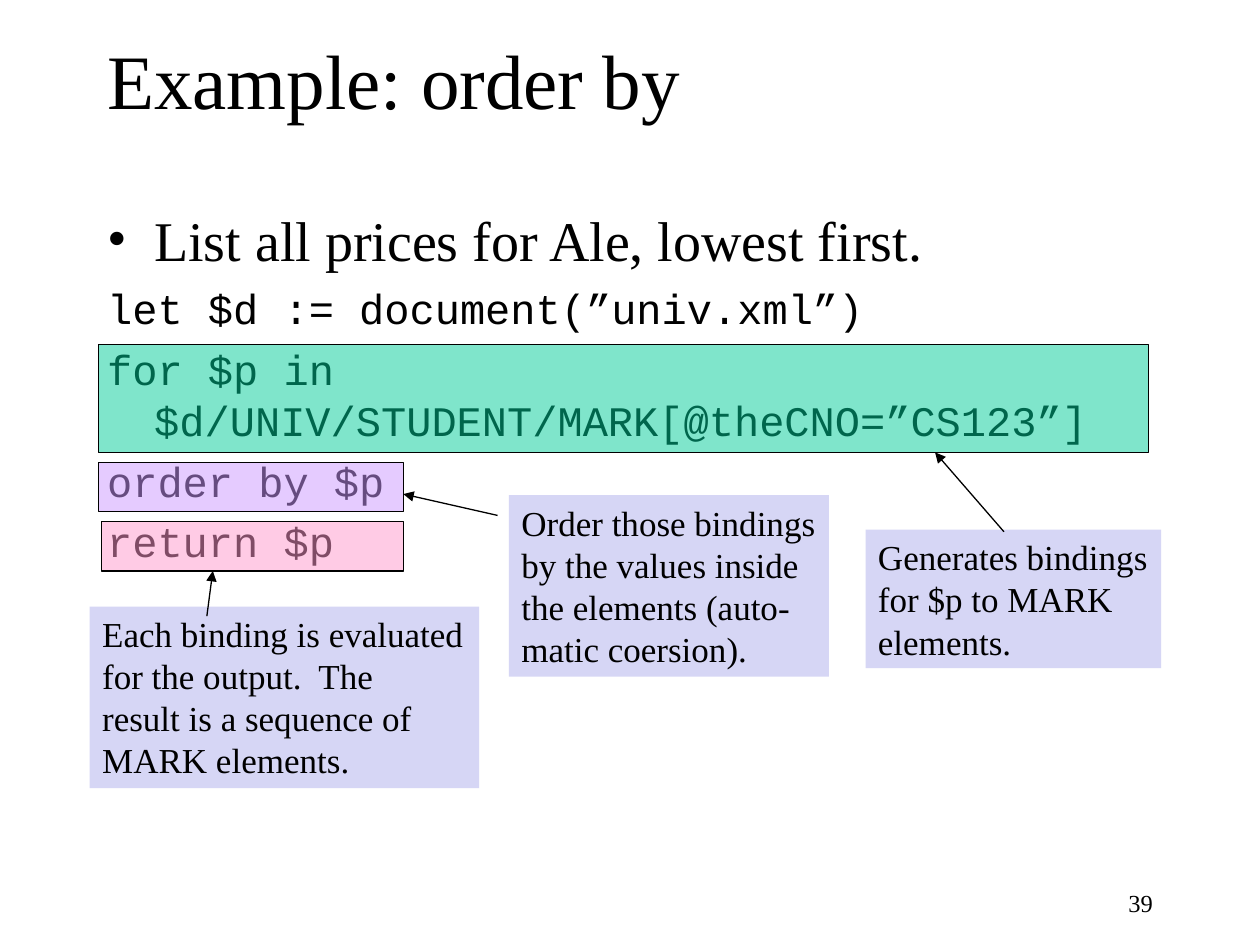
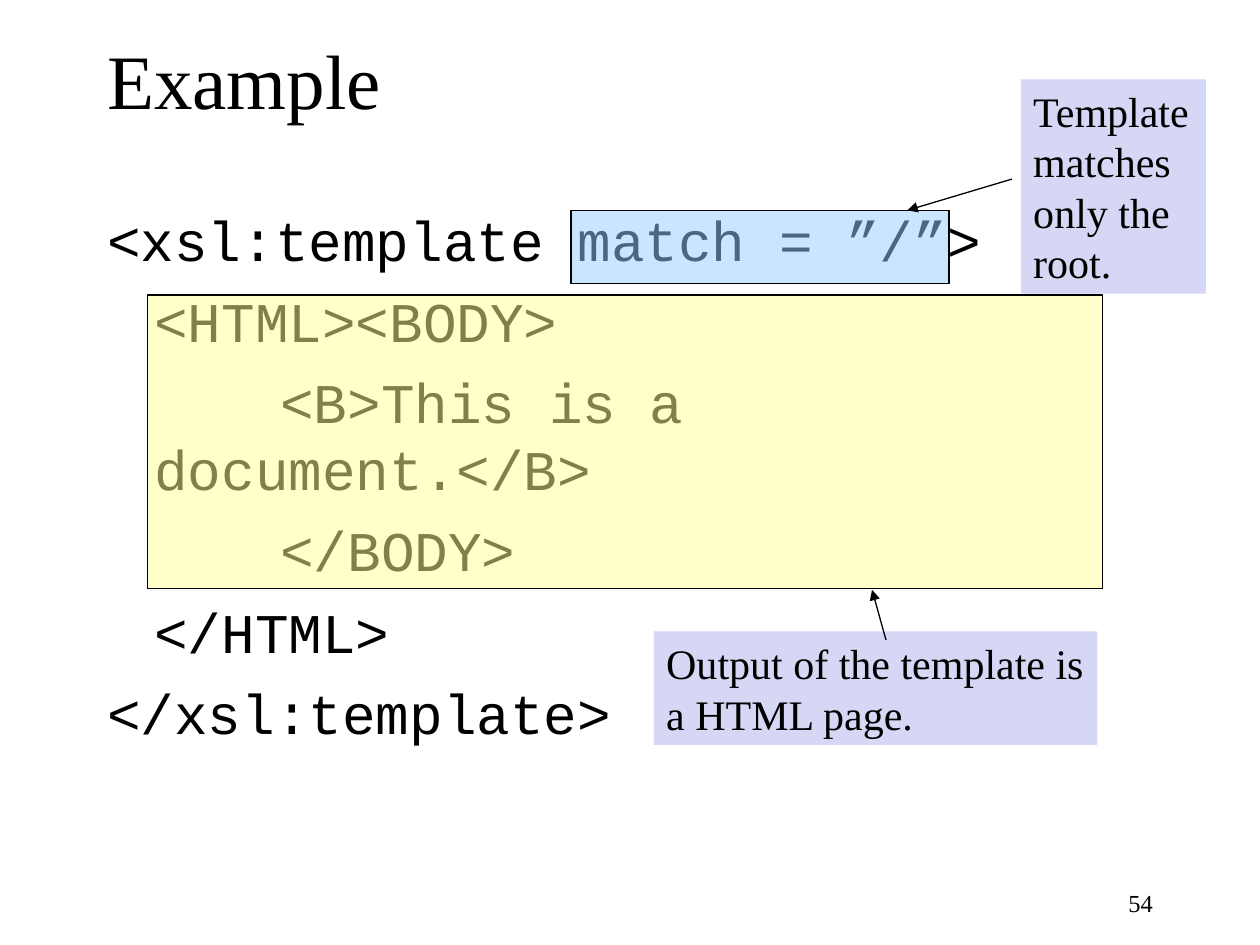
"""Build two lecture slides that explain code with highlights and callouts."""
from dataclasses import dataclass

from lxml import etree
from pptx import Presentation
from pptx import util as u
from pptx.dml.color import RGBColor
from pptx.enum import shapes, text
from pptx.oxml.ns import qn


@dataclass(frozen=True)
class Theme:
    """Colours, fonts, type sizes and indents shared by the slides."""
    ink: str = "000000"
    note: str = "D6D6F5"
    green: str = "00CC99"
    purple: str = "CC99FF"
    pink: str = "FF99CC"
    blue: str = "99CCFF"
    yellow: str = "FFFF99"
    serif: str = "Times New Roman"
    mono: str = "Courier New"
    title: int = 44
    body: int = 32
    code: int = 24
    small_note: int = 20
    number: int = 14
    line: float = 0.75
    opacity: int = 50
    indent: float = 0.95
    tab: float = 2.54


class Deck:
    """Hold the theme, the presentation and the current slide."""

    def __init__(self, theme):
        """Start a 4:3 presentation."""
        self.t = theme
        self.prs = Presentation()
        self.prs.slide_width, self.prs.slide_height = u.Cm(25.4), u.Cm(19.05)
        self.s = None

    def slide(self, title, number):
        """Add a blank slide with its title and page number."""
        self.s = self.prs.slides.add_slide(self.prs.slide_layouts[6])
        tf = self.box(1.91, 0, 21.59, 3.18).text_frame
        tf.vertical_anchor = text.MSO_ANCHOR.MIDDLE
        self.run(tf.paragraphs[0], title, self.t.title)
        p = self.box(18.21, 17.78, 5.28, 0.84).text_frame.paragraphs[0]
        p.alignment = text.PP_ALIGN.RIGHT
        self.run(p, number, self.t.number)

    def box(self, x, y, w, h):
        """Add an empty wrapping text box."""
        sp = self.s.shapes.add_textbox(*map(u.Cm, (x, y, w, h)))
        sp.text_frame.word_wrap = True
        return sp

    def run(self, p, words, size, font=None):
        """Add one styled run to a paragraph."""
        r = p.add_run()
        r.text = words
        r.font.size = u.Pt(size)
        r.font.name = font or self.t.serif
        r.font.color.rgb = RGBColor.from_string(self.t.ink)

    def paragraphs(self, tf, count):
        """Return the given number of paragraphs in a text frame."""
        return [tf.paragraphs[0]] + [tf.add_paragraph() for _ in range(count - 1)]

    def body(self, lines):
        """Add the main text from (words, size, font, first indent, bullet, space)."""
        tf = self.box(1.91, 4.01, 21.59, 12.9).text_frame
        for p, line in zip(self.paragraphs(tf, len(lines)), lines):
            words, size, font, first, bullet, space = line
            p.space_before = u.Pt(space)
            ppr = p._p.get_or_add_pPr()
            ppr.set("marL", str(u.Cm(self.t.indent)))
            ppr.set("indent", str(u.Cm(first)))
            if bullet:
                etree.SubElement(ppr, qn("a:buFont")).set("typeface", self.t.serif)
                etree.SubElement(ppr, qn("a:buChar")).set("char", "•")
            else:
                etree.SubElement(ppr, qn("a:buNone"))
            self.run(p, words, size, font)

    def highlight(self, colour, x, y, w, h):
        """Lay a translucent outlined rectangle over the code."""
        sp = self.s.shapes.add_shape(
            shapes.MSO_SHAPE.RECTANGLE, *map(u.Cm, (x, y, w, h)))
        sp.shadow.inherit = False
        sp.fill.solid()
        sp.fill.fore_color.rgb = RGBColor.from_string(colour)
        clr = sp.fill._xPr.find(qn("a:solidFill"))[0]
        etree.SubElement(clr, qn("a:alpha")).set("val", str(self.t.opacity * 1000))
        self.outline(sp.line)

    def outline(self, line):
        """Apply the thin shared line style."""
        line.color.rgb = RGBColor.from_string(self.t.ink)
        line.width = u.Pt(self.t.line)

    def callout(self, lines, size, x, y, w, h):
        """Add a tinted note with one paragraph per line."""
        sp = self.box(x, y, w, h)
        sp.fill.solid()
        sp.fill.fore_color.rgb = RGBColor.from_string(self.t.note)
        tf = sp.text_frame
        tf.word_wrap = False
        tf.auto_size = text.MSO_AUTO_SIZE.SHAPE_TO_FIT_TEXT
        for p, words in zip(self.paragraphs(tf, len(lines)), lines):
            self.run(p, words, size)

    def arrow(self, x1, y1, x2, y2):
        """Draw an arrow from a note to its highlight."""
        c = self.s.shapes.add_connector(
            shapes.MSO_CONNECTOR.STRAIGHT, *map(u.Cm, (x1, y1, x2, y2)))
        self.outline(c.line)
        etree.SubElement(c.line._get_or_add_ln(), qn("a:tailEnd")).set("type", "triangle")
        etree.SubElement(c._element.spPr, qn("a:effectLst"))


def order_by_slide(d):
    """Explain the order by clause."""
    t = d.t
    d.slide("Example: order by", "39")
    code = ("let $d := document(”univ.xml”)",
            "for $p in $d/UNIV/STUDENT/MARK[@theCNO=”CS123”]",
            "order by $p",
            "return $p")
    d.body([("List all prices for Ale, lowest first.", t.body, t.serif, -t.indent, True, 8)]
           + [(c, t.code, t.mono, -t.indent, False, 6) for c in code])
    d.highlight(t.green, 1.98, 6.94, 21.17, 2.18)
    d.callout(("Generates bindings", "for $p to MARK", "elements."),
              t.small_note, 17.45, 10.68, 5.96, 2.79)
    d.arrow(20.24, 10.72, 18.85, 9.12)
    d.highlight(t.purple, 1.98, 9.32, 6.15, 0.99)
    d.callout(("Order those bindings", "by the values inside",
               "the elements (auto-", "matic coersion)."),
              t.small_note, 10.26, 9.98, 6.45, 3.66)
    d.arrow(10.03, 10.39, 8.13, 9.96)
    d.highlight(t.pink, 2.04, 10.52, 6.1, 0.99)
    d.callout(("Each binding is evaluated", "for the output.  The",
               "result is a sequence of", "MARK elements."),
              t.small_note, 1.81, 12.23, 7.85, 3.66)
    d.arrow(4.17, 12.42, 4.29, 11.51)


def template_slide(d):
    """Explain an XSL template."""
    t = d.t
    d.slide("Example", "54")
    code = (("<xsl:template match = ”/”>", -t.indent),
            ("<HTML><BODY>", 0),
            ("<B>This is a document.</B>", t.tab),
            ("</BODY>", t.tab),
            ("</HTML>", 0),
            ("</xsl:template>", -t.indent))
    d.body([(c, t.body, t.mono, first, False, 8) for c, first in code])
    d.highlight(t.blue, 11.51, 4.24, 7.62, 1.47)
    d.callout(("Template", "matches", "only the", "root."),
              t.code, 20.58, 1.6, 3.73, 4.32)
    d.arrow(20.4, 3.61, 18.29, 4.24)
    d.highlight(t.yellow, 2.97, 5.95, 19.25, 5.92)
    d.callout(("Output of the template is", "a HTML page."),
              t.code, 13.18, 12.73, 8.94, 2.29)
    d.arrow(17.86, 12.9, 17.58, 11.89)


def main():
    """Build and save the slides."""
    d = Deck(Theme())
    order_by_slide(d)
    template_slide(d)
    d.prs.save("out.pptx")


if __name__ == "__main__":
    main()
